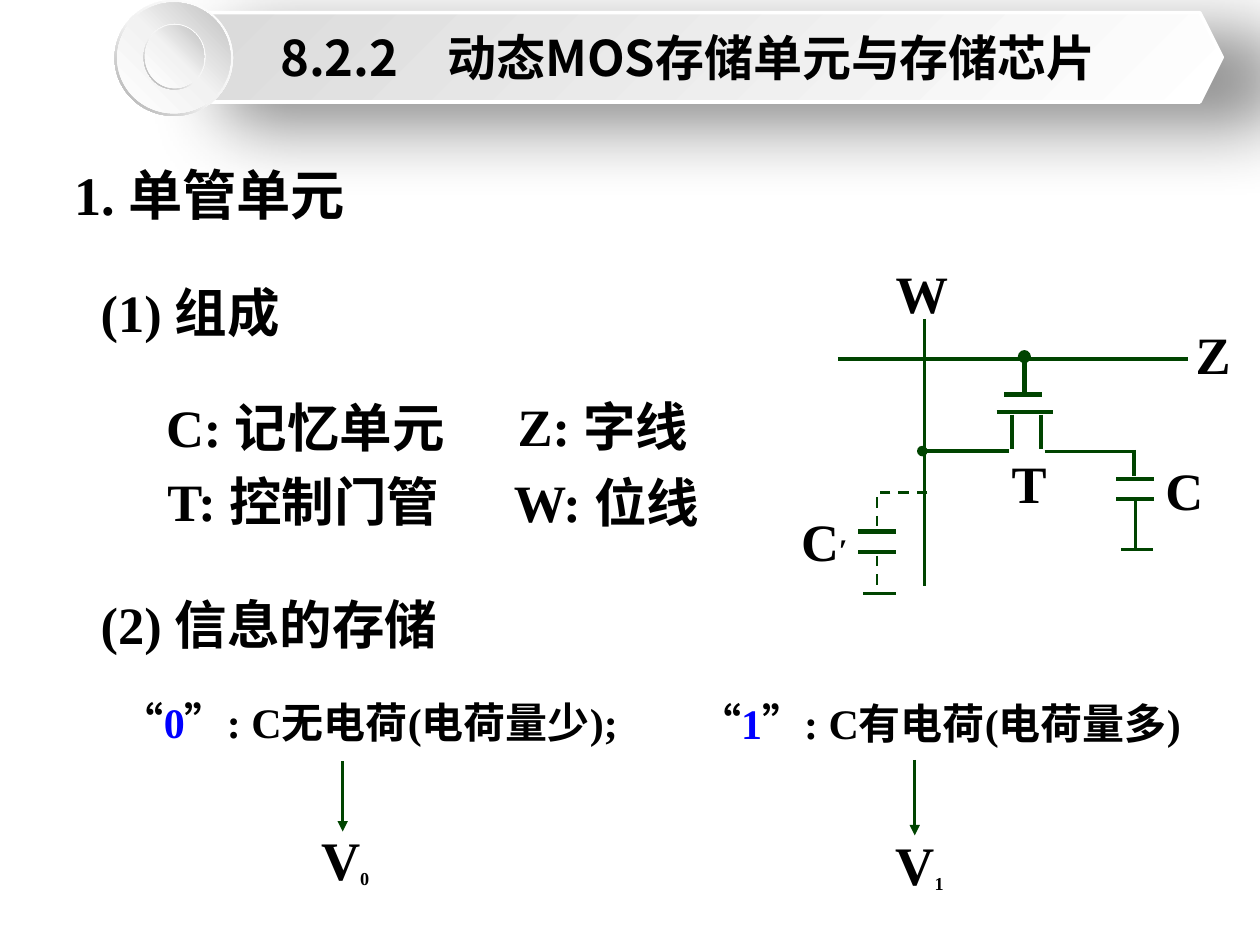
from lxml.etree import SubElement
from pptx import Presentation
from pptx.dml.color import RGBColor
from pptx.enum.dml import MSO_LINE
from pptx.enum.lang import MSO_LANGUAGE_ID as Language
from pptx.enum.shapes import MSO_CONNECTOR as Connector, MSO_SHAPE as Shape
from pptx.enum.text import MSO_ANCHOR as Anchor, PP_ALIGN as Align
from pptx.oxml.ns import qn
from pptx.util import Pt

PX = 9144  # EMU; 100 px to the inch
BLACK = RGBColor(0x00, 0x00, 0x00)
WHITE = RGBColor(0xFF, 0xFF, 0xFF)
BLUE = RGBColor(0x00, 0x00, 0xFF)
GREEN = RGBColor(0x00, 0x44, 0x00)
PALE = RGBColor(0xF2, 0xF2, 0xF2)
SILVER = RGBColor(0xD9, 0xD9, 0xD9)
MID_GREY = RGBColor(0xBF, 0xBF, 0xBF)
DARK_GREY = RGBColor(0xA6, 0xA6, 0xA6)
SERIF, HAN = "Times New Roman", "Noto Sans CJK SC"


def px(*lengths):
    return [length * PX for length in lengths]


def style_run(run, size, color=BLACK, face=SERIF):
    font = run.font
    font.size, font.bold, font.name = Pt(size), True, face
    font.color.rgb = color
    font.language_id = Language.SIMPLIFIED_CHINESE
    SubElement(run._r.get_or_add_rPr(), qn("a:ea"), typeface=HAN)


def add_label(slide, box, *parts):
    """Place one line of text; each part is (text, size[, color])."""
    frame = slide.shapes.add_textbox(*px(*box)).text_frame
    frame.word_wrap = True
    for text, *look in parts:
        run = frame.paragraphs[0].add_run()
        run.text = text
        style_run(run, *look)
    return frame.paragraphs[0].runs


def add_wire(slide, left, top, ends, width, head=None, tail=None, dashed=False):
    """Draw a straight line between ends (x1, y1, x2, y2) offset by left, top."""
    x1, y1, x2, y2 = ends
    wire = slide.shapes.add_connector(
        Connector.STRAIGHT, *px(left + x1, top + y1, left + x2, top + y2))
    wire.line.color.rgb, wire.line.width = GREEN, Pt(width)
    if dashed:
        wire.line.dash_style = MSO_LINE.DASH
    outline = wire.line._get_or_add_ln()
    for tag, kind in (("a:headEnd", head), ("a:tailEnd", tail)):
        if kind:
            SubElement(outline, qn(tag), type=kind)
    SubElement(wire._element.spPr, qn("a:effectLst"))


def set_gradient(shape, angle, *stops):
    """Fill with (percent, color) stops, at a clockwise angle in degrees."""
    shape.fill.gradient()
    gradient = shape._element.spPr.find(qn("a:gradFill"))
    for child in list(gradient):
        gradient.remove(child)
    stop_list = SubElement(gradient, qn("a:gsLst"))
    for percent, color in stops:
        stop = SubElement(stop_list, qn("a:gs"), pos=str(percent * 1000))
        SubElement(stop, qn("a:srgbClr"), val=str(color))
    SubElement(gradient, qn("a:lin"), ang=str(angle * 60000), scaled="0")


def add_knob(slide, left, top, width, height, rim):
    """Draw a shaded disc inside a thin ring."""
    ring = slide.shapes.add_shape(Shape.DONUT, *px(left, top, width, height))
    ring.adjustments[0] = 0.05
    disc = slide.shapes.add_shape(
        Shape.OVAL,
        *px(left + rim, top + rim, width - 2 * rim, height - 2 * rim))
    set_gradient(ring, 135, (0, WHITE), (55, PALE), (100, DARK_GREY))
    set_gradient(disc, 315, (0, WHITE), (51, PALE), (100, MID_GREY))
    for part in (ring, disc):
        part.line.fill.background()
        part.shadow.inherit = False


def add_banner(slide, left, top):
    banner = slide.shapes.add_shape(
        Shape.HEXAGON, *px(left + 31, top + 10, 848, 71))
    set_gradient(banner, 225, (0, WHITE), (100, SILVER))
    banner.line.color.rgb, banner.line.width = WHITE, Pt(2)
    banner.shadow.inherit = False
    shadow = SubElement(
        banner._element.spPr.find(qn("a:effectLst")), qn("a:outerShdw"),
        blurRad=str(Pt(42)), dist=str(Pt(38)), dir=str(19 * 60000),
        algn="tl", rotWithShape="0")
    shade = SubElement(shadow, qn("a:srgbClr"), val=str(BLACK))
    SubElement(shade, qn("a:alpha"), val="45000")
    frame = banner.text_frame
    frame.text = "8.2.2　动态MOS存储单元与存储芯片"
    frame.word_wrap = False
    frame.vertical_anchor = Anchor.MIDDLE
    frame.paragraphs[0].alignment = Align.CENTER
    style_run(frame.paragraphs[0].runs[0], 28, face=HAN)
    add_knob(slide, left, top, 94, 92, 2)
    add_knob(slide, left + 23, top + 19, 49, 52, 1)


def add_outline(slide, left, top):
    """Place the headings and the meanings of the circuit's letters."""
    for text, size, x, y, width in (
        ("1. 单管单元", 31, 0, 0, 383),
        ("(1) 组成", 30, 21, 94, 225),
        ("C: 记忆单元", 30, 73, 186, 280),
        ("T: 控制门管", 30, 74, 244, 283),
        ("Z: 字线", 30, 352, 185, 175),
        ("W: 位线", 30, 349, 245, 184),
        ("(2) 信息的存储", 30, 21, 342, 357),
    ):
        add_label(slide, (left + x, top + y, width, 60), (text, size))


def add_state(slide, left, top, width, digit, meaning, arrow, level):
    """Describe a stored bit, with an arrow down to its voltage level."""
    add_label(slide, (left, top, width, 50),
              ("“", 24), (digit, 24, BLUE), (f"”: {meaning}", 24))
    add_wire(slide, left, top, arrow, 1.5, tail="triangle")
    voltage = add_label(slide, (left + level[0], top + level[1], 113, 62),
                        ("V", 31), (digit, 18))
    voltage[1]._r.get_or_add_rPr().set("baseline", "-14000")


def add_capacitor(slide, left, top):
    for y in (0, 16):
        add_wire(slide, left, top, (0, y, 30, y), 2.5)


def add_cell_circuit(slide, left, top):
    for ends, width, head in (
        ((39, 83, 317, 83), 2, None),       # word line Z
        ((108, 51, 108, 263), 1.75, None),  # bit line W
        ((187, 81, 187, 109), 2.5, "oval"),  # transistor T
        ((171, 111, 201, 111), 2.5, None),
        ((165, 125, 210, 125), 2.5, None),
        ((177, 127, 177, 154), 2.5, None),
        ((200, 127, 200, 154), 2.5, None),
        ((106, 156, 175, 156), 2, "oval"),
        ((203, 156, 275, 156), 1.75, None),  # branch to C
        ((274, 155, 274, 176), 1.75, None),
        ((275, 195, 275, 234), 1.75, None),
        ((264, 234, 289, 234), 2, None),
        ((59, 269, 85, 269), 2, None),      # ground of C′
    ):
        add_wire(slide, left, top, ends, width, head)
    add_wire(slide, left, top, (70, 239, 70, 266), 1.5, dashed=True)
    add_capacitor(slide, left + 260, top + 178)
    add_capacitor(slide, left + 55, top + 220)

    builder = slide.shapes.build_freeform(left + 110, top + 189, scale=PX)
    builder.add_line_segments(
        [(left + 70, top + 189), (left + 70, top + 221)], close=False)
    stray = builder.convert_to_shape()
    stray.fill.background()
    stray.shadow.inherit = False
    stray.line.color.rgb, stray.line.width = GREEN, Pt(1.5)
    stray.line.dash_style = MSO_LINE.DASH

    for letter, x, y in (("C", 289, 157), ("W", 75, 0), ("Z", 313, 49),
                         ("T", 167, 151)):
        add_label(slide, (left + x, top + y, 70, 60), (letter, 30))
    add_label(slide, (left, top + 197, 66, 61), ("C", 30), ("′", 18))


def main():
    deck = Presentation()
    deck.slide_width, deck.slide_height = px(1000, 750)
    slide = deck.slides.add_slide(deck.slide_layouts[6])
    add_outline(slide, 49, 123)
    add_state(slide, 87, 548, 490, "0", "C无电荷(电荷量少);",
              (185, 56, 185, 112), (158, 103))
    add_state(slide, 545, 549, 454, "1", "C有电荷(电荷量多)",
              (181, 54, 181, 114), (156, 106))
    add_cell_circuit(slide, 626, 202)
    add_banner(slide, 91, 0)
    deck.save("out.pptx")


if __name__ == "__main__":
    main()
